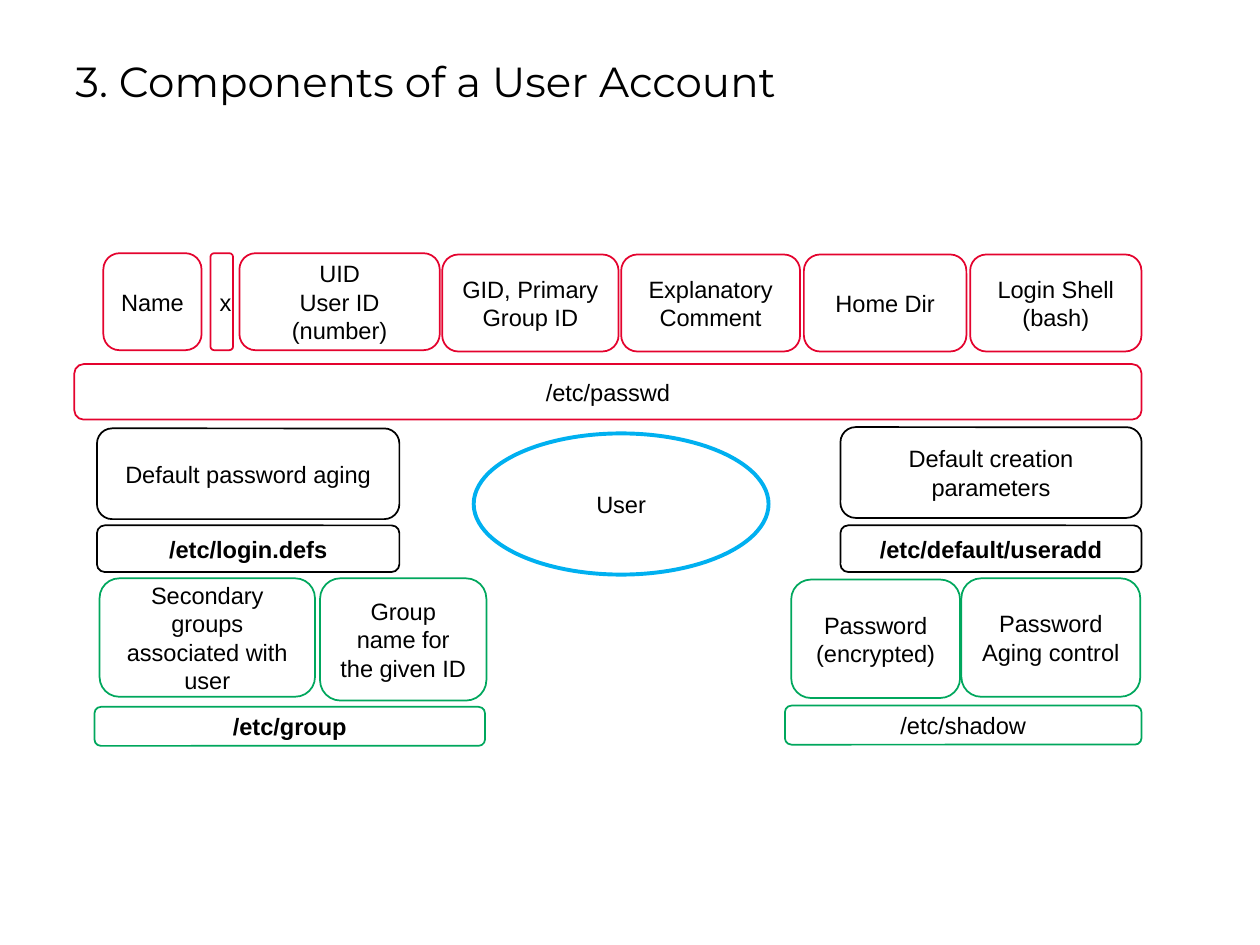
from pptx import Presentation
from pptx.dml.color import RGBColor
from pptx.enum.shapes import MSO_SHAPE
from pptx.enum.text import MSO_ANCHOR, PP_ALIGN
from pptx.util import Inches, Pt

COLORS = {
    "text": "000000",
    "white": "FFFFFF",
    "passwd": "E4032E",
    "defaults": "000000",
    "groups": "00A75D",
    "user": "00B0F0",
}


class AccountSlide:
    """Holds the style and the current slide."""

    body_font, body_size = "Arial", 13.5
    title_font, title_size = "Montserrat", 24

    def __init__(self, page):
        self.page = page

    def color(self, name):
        return RGBColor.from_string(COLORS[name])

    def fill_text(self, frame, text, font, size, align, bold=False):
        frame.word_wrap = True
        frame.text = text
        for paragraph in frame.paragraphs:
            paragraph.alignment = align
            for span in paragraph.runs:
                span.font.name = font
                span.font.size = Pt(size)
                span.font.bold = bold
                span.font.color.rgb = self.color("text")

    def title(self, text, left, top, width, height):
        box = self.page.shapes.add_textbox(
            Inches(left), Inches(top), Inches(width), Inches(height))
        self.fill_text(box.text_frame, text, self.title_font, self.title_size,
                       PP_ALIGN.LEFT)

    def outline(self, kind, text, place, color, weight, bold=False):
        shape = self.page.shapes.add_shape(kind, *[Inches(value) for value in place])
        shape.shadow.inherit = False
        shape.line.color.rgb = self.color(color)
        shape.line.width = Pt(weight)
        shape.text_frame.vertical_anchor = MSO_ANCHOR.MIDDLE
        self.fill_text(shape.text_frame, text, self.body_font, self.body_size,
                       PP_ALIGN.CENTER, bold)
        return shape

    def oval(self, text, place, color):
        shape = self.outline(MSO_SHAPE.OVAL, text, place, color, 2.25)
        shape.fill.background()

    def card(self, text, place, color, bold=False):
        shape = self.outline(MSO_SHAPE.ROUNDED_RECTANGLE, text, place, color, 1, bold)
        shape.fill.solid()
        shape.fill.fore_color.rgb = self.color("white")


def main():
    deck = Presentation()
    deck.slide_width, deck.slide_height = Inches(10), Inches(7.5)
    slide = AccountSlide(deck.slides.add_slide(deck.slide_layouts[6]))

    slide.title("3. Components of a User Account", 0.5, 0.39, 9.02, 0.5)
    slide.oval("User", (3.76, 3.44, 2.34, 1.12), "user")

    # Fields of the passwd file: text, left, top, width
    passwd_fields = [
        ("Name", 0.82, 2.01, 0.78),
        ("x", 1.67, 2.01, 0.18),
        ("UID\nUser ID (number)", 1.9, 2.01, 1.59),
        ("GID, Primary Group ID", 3.51, 2.02, 1.4),
        ("Explanatory Comment", 4.93, 2.02, 1.42),
        ("Home Dir", 6.38, 2.02, 1.29),
        ("Login Shell\n(bash)", 7.7, 2.02, 1.36),
    ]
    for text, left, top, width in passwd_fields:
        slide.card(text, (left, top, width, 0.77), "passwd")
    slide.card("/etc/passwd", (0.59, 2.89, 8.47, 0.44), "passwd")

    # Default settings, each above its file
    defaults = [
        ("Default password aging", "/etc/login.defs", 0.77, 3.4, 2.4),
        ("Default creation parameters", "/etc/default/useradd", 6.67, 3.39, 2.39),
    ]
    for text, file_name, left, top, width in defaults:
        slide.card(text, (left, top, width, 0.72), "defaults")
        slide.card(file_name, (left, 4.17, width, 0.37), "defaults", bold=True)

    # Group and shadow fields: text, left, top, width, height
    group_fields = [
        ("Secondary groups associated with user", 0.79, 4.59, 1.71, 0.94),
        ("Group name for the given ID", 2.54, 4.59, 1.32, 0.97),
        ("Password\n(encrypted)", 6.28, 4.6, 1.34, 0.94),
        ("Password\nAging control", 7.63, 4.59, 1.42, 0.94),
    ]
    for text, *place in group_fields:
        slide.card(text, place, "groups")
    slide.card("/etc/group", (0.75, 5.61, 3.1, 0.31), "groups", bold=True)
    slide.card("/etc/shadow", (6.23, 5.6, 2.83, 0.31), "groups")

    deck.save("out.pptx")


if __name__ == "__main__":
    main()
